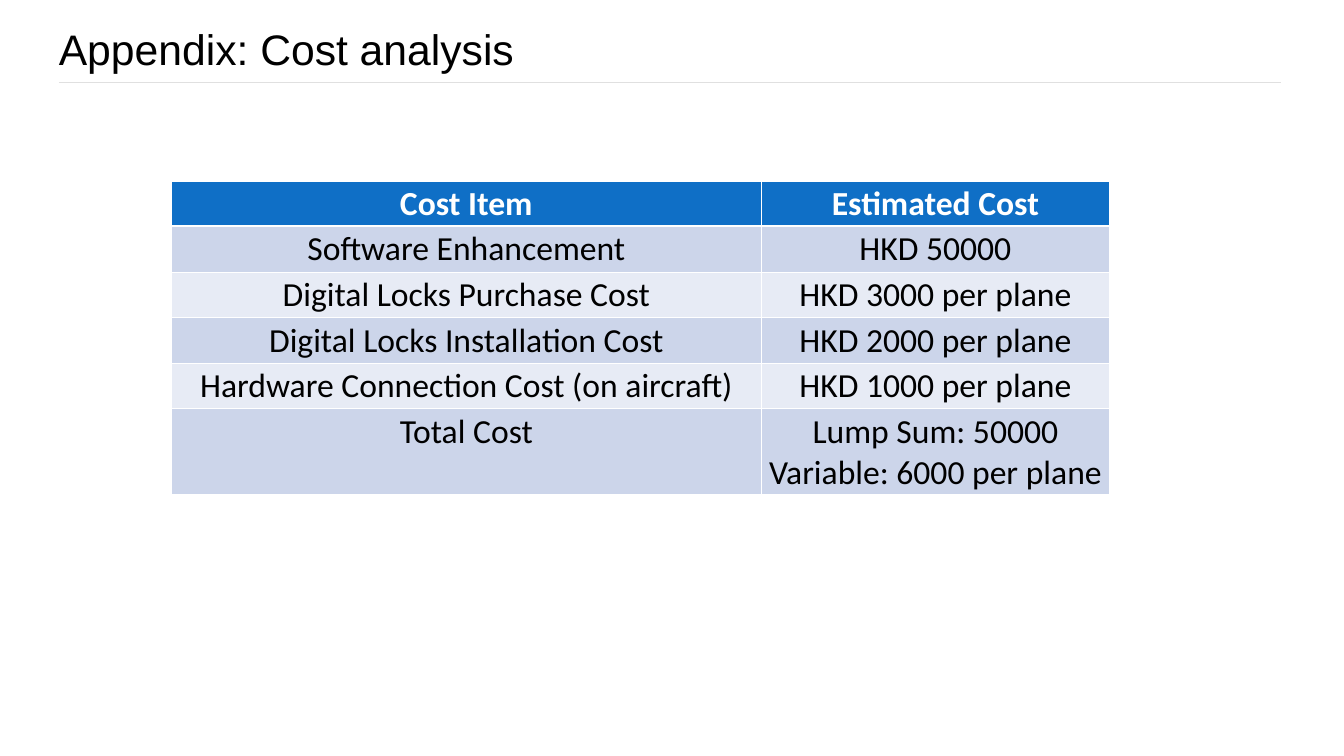
import pptx
import pptx.dml.color
import pptx.enum.shapes
import pptx.enum.text
import pptx.oxml
import pptx.oxml.ns
import pptx.util

COSTS = [
    ("Cost Item", "Estimated Cost"),
    ("Software Enhancement", "HKD 50000"),
    ("Digital Locks Purchase Cost", "HKD 3000 per plane"),
    ("Digital Locks Installation Cost", "HKD 2000 per plane"),
    ("Hardware Connection Cost (on aircraft)", "HKD 1000 per plane"),
    ("Total Cost", "Lump Sum: 50000\nVariable: 6000 per plane"),
]


def color(value):
    return pptx.dml.color.RGBColor.from_string(value)


class SlideBuilder:
    """Places elements by percentages of the slide's width and height."""
    black, white, rule_gray = "000000", "FFFFFF", "E0E0E0"
    header_blue, bands = "0F6FC6", ("CCD5EA", "E7EBF5")
    title_font, table_font = "Arial", "Calibri"
    title_size, table_size = 60, 47.3

    def __init__(self, deck):
        self.deck = deck
        self.page = deck.slides.add_slide(deck.slide_layouts[6])

    def across(self, percent):
        return round(self.deck.slide_width * percent / 100)

    def down(self, percent):
        return round(self.deck.slide_height * percent / 100)

    def style(self, para, name, size, shade, bold=False):
        font = para.font
        font.name, font.size, font.bold = name, pptx.util.Pt(size), bold
        font.color.rgb = color(shade)

    def rule(self, left, right, top):
        line = self.page.shapes.add_connector(
            pptx.enum.shapes.MSO_CONNECTOR.STRAIGHT,
            self.across(left), self.down(top), self.across(right), self.down(top))
        line.line.color.rgb = color(self.rule_gray)
        line.line.width = pptx.util.Pt(0.75)
        line._element.spPr.append(pptx.oxml.parse_xml(
            f"<a:effectLst {pptx.oxml.ns.nsdecls('a')}/>"))

    def title(self, text, left, top, width, height):
        box = self.page.shapes.add_textbox(
            self.across(left), self.down(top), self.across(width), self.down(height))
        frame = box.text_frame
        frame.word_wrap = False
        frame.auto_size = pptx.enum.text.MSO_AUTO_SIZE.SHAPE_TO_FIT_TEXT
        frame.margin_left = 0
        frame.text = text
        self.style(frame.paragraphs[0], self.title_font, self.title_size, self.black)

    def borders(self, cell, widths):
        properties = cell._tc.get_or_add_tcPr()
        for position, (side, width) in enumerate(zip("LRTB", widths)):
            properties.insert(position, pptx.oxml.parse_xml(
                f'<a:ln{side} {pptx.oxml.ns.nsdecls("a")} w="{pptx.util.Pt(width)}">'
                f'<a:solidFill><a:srgbClr val="{self.white}"/></a:solidFill></a:ln{side}>'))

    def table(self, entries, left, top, widths, heights):
        table = self.page.shapes.add_table(
            len(heights), len(widths), self.across(left), self.down(top),
            self.across(sum(widths)), self.down(sum(heights))).table
        table.horz_banding = False
        for column, width in zip(table.columns, widths):
            column.width = self.across(width)
        for index, (row, height, texts) in enumerate(zip(table.rows, heights, entries)):
            row.height = self.down(height)
            header = index == 0
            for cell, text in zip(row.cells, texts):
                cell.text = text
                cell.fill.solid()
                cell.fill.fore_color.rgb = color(
                    self.header_blue if header else self.bands[(index - 1) % 2])
                self.borders(cell, (1, 1, 3 if index == 1 else 1, 3 if header else 1))
                for para in cell.text_frame.paragraphs:
                    para.alignment = pptx.enum.text.PP_ALIGN.CENTER
                    self.style(para, self.table_font, self.table_size,
                               self.white if header else self.black, header)


def main():
    deck = pptx.Presentation()
    deck.slide_width = pptx.util.Cm(66.7)
    deck.slide_height = pptx.util.Cm(37.5)
    slide = SlideBuilder(deck)

    # Heading and its rule
    slide.rule(left=4.38, right=95.35, top=10.91)
    slide.title("Appendix: Cost analysis", left=4.38, top=2.71, width=34.27, height=7.52)

    # Cost table: five single-line rows and a two-line total
    slide.table(COSTS, left=12.72, top=23.92,
                widths=(43.95, 25.86), heights=[6.03] * 5 + [11.2])

    deck.save("out.pptx")


if __name__ == "__main__":
    main()
